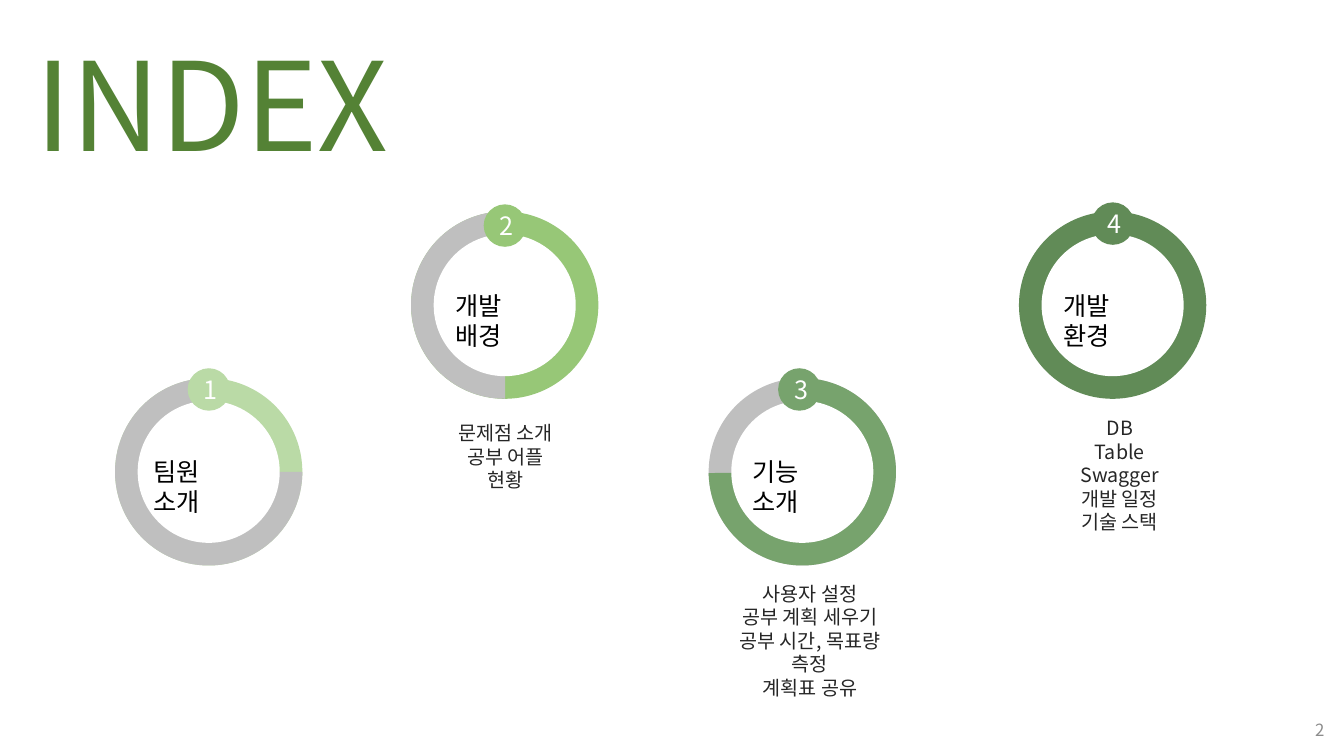
from pptx import Presentation
from pptx.dml.color import RGBColor as Rgb
from pptx.enum.shapes import MSO_SHAPE as Kind
from pptx.enum.text import MSO_ANCHOR as Anchor, PP_ALIGN as Align
from pptx.util import Cm, Pt

FONT = "Noto Sans CJK KR"
HEX = {
    "title": "548235", "page": "8C8C8C", "label": "000000",
    "note": "262626", "white": "FFFFFF", "grey": "BFBFBF",
    "one": "BADAA6", "two": "97C777", "three": "77A36D", "four": "618B57",
}
RING, HOLE, BADGE = 4.72, 3.58, 1.07


def style(frame, size, color, align=Align.LEFT, anchor=Anchor.TOP):
    frame.word_wrap = True
    frame.vertical_anchor = anchor
    for para in frame.paragraphs:
        para.alignment = align
        for run in para.runs:
            run.font.size = Pt(size)
            run.font.name = FONT
            run.font.color.rgb = Rgb.from_string(HEX[color])


def add_text(shapes, text, x, y, w, h, size, color, **look):
    box = shapes.add_textbox(Cm(x), Cm(y), Cm(w), Cm(h))
    box.text_frame.text = text
    style(box.text_frame, size, color, **look)


def add_disc(shapes, x, y, size, color, kind=Kind.OVAL, arc=()):
    disc = shapes.add_shape(kind, Cm(x), Cm(y), Cm(size), Cm(size))
    disc.shadow.inherit = False
    disc.fill.solid()
    disc.fill.fore_color.rgb = Rgb.from_string(HEX[color])
    disc.line.fill.background()
    for i, angle in enumerate(arc):
        disc.adjustments[i] = angle * 0.6  # degrees to shape units
    return disc


def add_step(slide, num, label, x, y, base, part, color, pin, inset):
    """Ring with a coloured share, a label inside and a numbered badge."""
    shapes = slide.shapes.add_group_shape().shapes
    add_disc(shapes, x, y, RING, base)
    if part:
        kind, fill, arc = part
        add_disc(shapes, x, y, RING, fill, kind, arc)
    gap = (RING - HOLE) / 2
    add_disc(shapes, x + gap, y + gap, HOLE, "white")
    add_text(shapes, label, x + inset, y + 1.85, 2.6, 1.02, 18, "label")
    badge = add_disc(shapes, x + pin[0], y + pin[1], BADGE, color)
    badge.text_frame.text = num
    style(badge.text_frame, 18, "white", Align.CENTER, Anchor.MIDDLE)


def add_note(slide, lines, mid, y, w):
    add_text(slide.shapes, "\n".join(lines), mid - w / 2, y, w,
             0.6 * len(lines), 14, "note", align=Align.CENTER)


def add_title(slide, text):
    title = slide.shapes.title
    title.left, title.top = Cm(0.64), Cm(0.58)
    title.width, title.height = Cm(11.18), Cm(4.01)
    title.text_frame.text = text
    style(title.text_frame, 88, "title")


def main():
    deck = Presentation()
    deck.slide_width, deck.slide_height = Cm(33.87), Cm(19.05)
    slide = deck.slides.add_slide(deck.slide_layouts[5])

    # Title and page number
    add_title(slide, "INDEX")
    add_text(slide.shapes, "2", 26.01, 17.88, 7.62, 1.02, 12, "page",
             align=Align.RIGHT, anchor=Anchor.MIDDLE)

    # Rings: each step fills one more quarter
    low, high = 9.53, 5.33
    steps = [
        ("팀원 소개", 2.9, low, "one",
         (Kind.PIE, "grey", (0, 269.35)), "one", (1.83, -0.25), 0.71),
        ("개발 배경", 10.36, high, "two",
         (Kind.CHORD, "grey", (89.67, 270.43)), "two", (1.83, -0.18), 0.86),
        ("기능 소개", 17.86, low, "grey",
         (Kind.PIE, "three", (268.21, 179.23)), "three", (1.75, -0.25), 0.86),
        ("개발 환경", 25.68, high, "four",
         None, "four", (1.83, -0.23), 0.86),
    ]
    for num, step in enumerate(steps, 1):
        add_step(slide, str(num), *step)

    # Notes under the rings
    add_note(slide, ["문제점 소개", "공부 어플 현황"], 12.74, 10.49, 3.2)
    add_note(slide, ["사용자 설정", "공부 계획 세우기",
                     "공부 시간, 목표량 측정", "계획표 공유"], 20.41, 14.53, 4.8)
    add_note(slide, ["DB Table", "Swagger", "개발 일정", "기술 스택"],
             28.22, 10.36, 2.51)

    deck.save("out.pptx")


if __name__ == "__main__":
    main()
